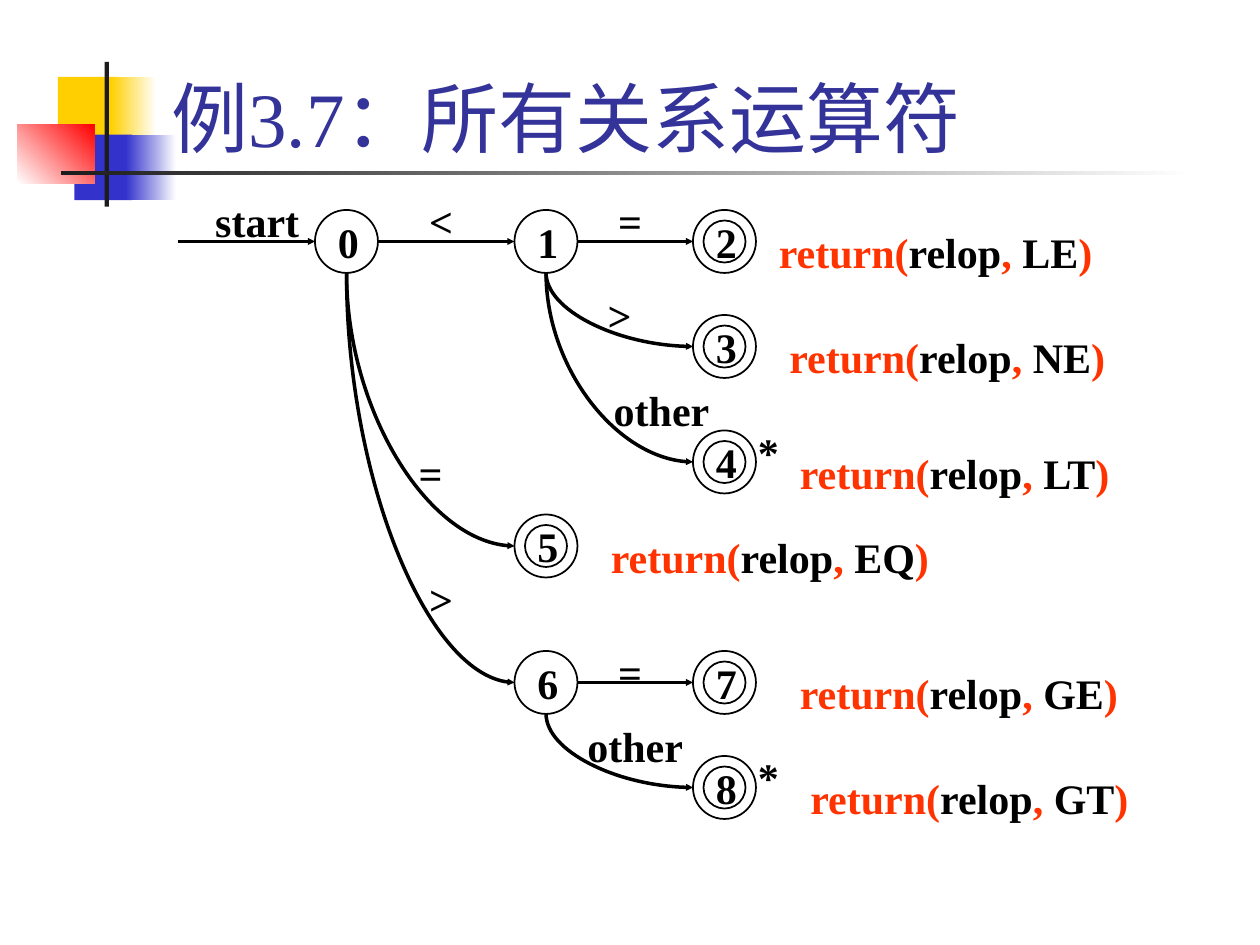
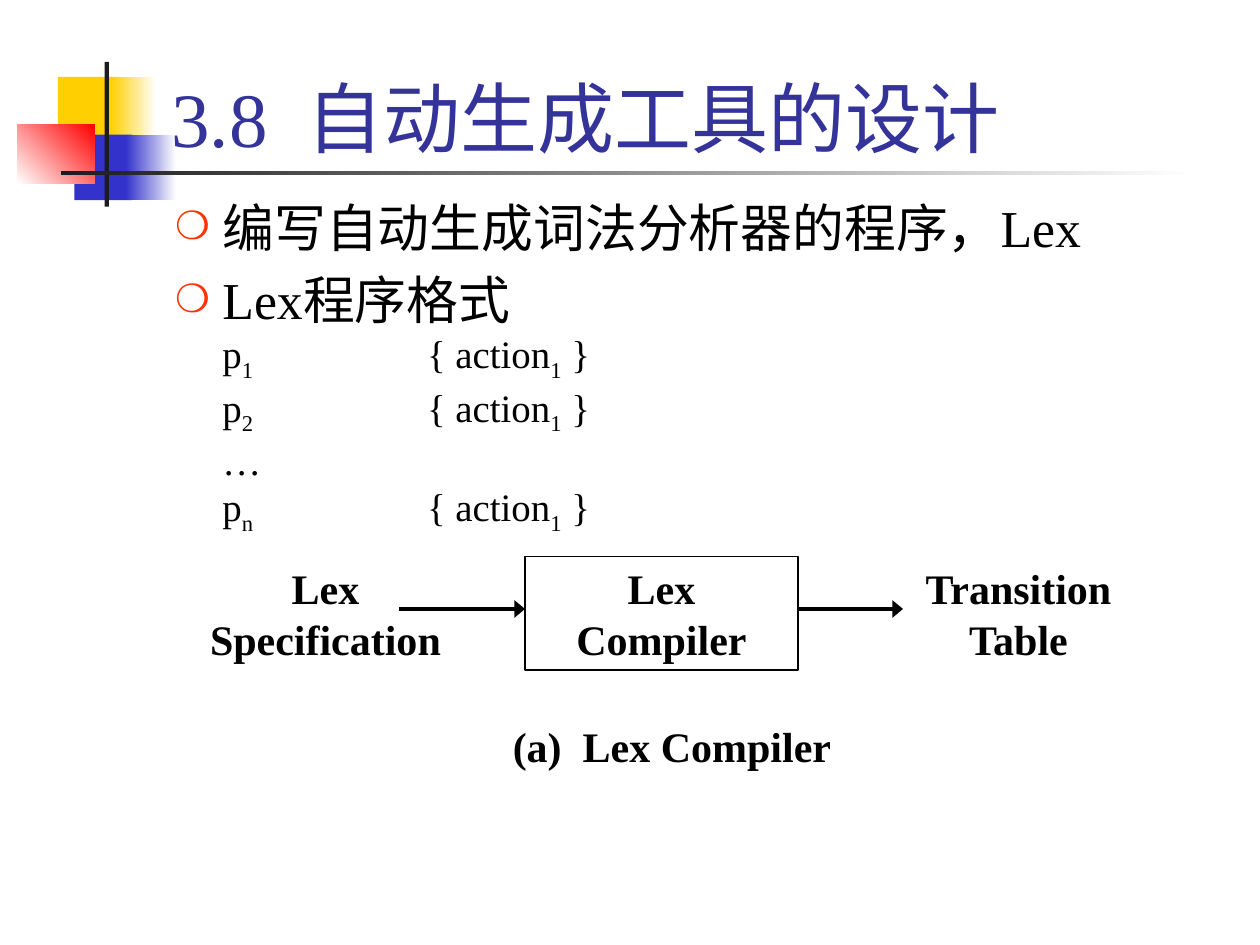
from dataclasses import dataclass
from lxml.etree import SubElement
from pptx import Presentation
from pptx.dml.color import RGBColor
from pptx.enum.shapes import MSO_CONNECTOR, MSO_SHAPE
from pptx.enum.text import MSO_ANCHOR, MSO_AUTO_SIZE, PP_ALIGN
from pptx.oxml.ns import qn
from pptx.util import Pt


@dataclass(frozen=True)
class Theme:
    font: str = "Times New Roman"
    ink: str = "000000"
    title: str = "333399"
    accent: str = "FF3300"
    yellow: str = "FFCF01"
    blue: str = "3333CC"
    red: str = "FF0000"
    bar: str = "1C1C1C"
    white: str = "FFFFFF"
    title_size: float = 44
    body_size: float = 29.6
    rule_size: float = 22.2
    label_size: float = 24
    outline: float = 1
    arrow: float = 2


T = Theme()

DECORATION = [
    ((33.1, 43.9, 34.6, 37.4), [T.yellow], 0),
    ((63.4, 43.9, 25.9, 37.4), [T.yellow, T.white], 0),
    ((42.5, 77, 33.1, 37.4), [T.blue], 0),
    ((72, 77, 28.8, 37.4), [T.blue, T.white], 0),
    ((10, 71.1, 44, 33.7), [T.white, T.red], 45),
    ((59.8, 35.3, 2.4, 82.8), [T.bar], 0),
    ((34.6, 97.7, 648, 2.4), [T.bar, T.white], 0),
]
TITLE_BOX = (90.7, 6.5, 613.4, 90)
BODY_BOX = (92.9, 108, 612, 216)

RELOP_TITLE = "例3.7：所有关系运算符"
STATES = {
    0: (180, 120), 1: (294, 120), 2: (396, 120), 3: (396, 180), 4: (396, 246),
    5: (294, 294), 6: (294, 372), 7: (396, 372), 8: (396, 432),
}
DIAMETER, RING_GAP, LABEL_H = 36, 6, 36
START_X = 102
EDGES = [(0, 1), (1, 2), (1, 3), (1, 4), (0, 5), (0, 6), (6, 7), (6, 8)]
RETURNS = {
    2: ("LE", 438), 3: ("NE", 444), 4: ("LT", 450),
    5: ("EQ", 342), 7: ("GE", 450), 8: ("GT", 456),
}
EDGE_LABELS = [
    ("start", 108, 108, 78), ("<", 222, 108, 60), ("=", 330, 108, 60),
    (">", 324, 162, 60), ("other", 336, 216, 84), ("=", 216, 252, 60),
    (">", 222, 324, 60), ("=", 330, 366, 60), ("other", 324, 408, 78),
    ("*", 426, 240, 24), ("*", 426, 426, 24),
]

LEX_TITLE = "3.8  自动生成工具的设计"
LEX_POINTS = ["编写自动生成词法分析器的程序，Lex", "Lex程序格式"]
LEX_RULES = ["1", "2", None, "n"]
LEX_FLOW_Y, LEX_FLOW_H = 318, 64.8
LEX_ENDS = [("Lex Specification", 102, 168), ("Transition Table", 498, 168)]
LEX_BOX = ("Lex Compiler", 300, 156)
LEX_ARROWS = [(228, 300), (456, 516)]
LEX_CAPTION = ("(a)  Lex Compiler", 276, 408, 216)


def pts(values):
    return [Pt(v) for v in values]


def set_all(obj, values):
    for name, value in values.items():
        setattr(obj, name, value)


def add_run(p, text, size, color=T.ink, bold=False):
    r = p.add_run()
    r.text = text
    set_all(r.font, {"name": T.font, "size": Pt(size), "bold": bold})
    r.font.color.rgb = RGBColor.from_string(color)
    return r


def write_label(s, runs, align=PP_ALIGN.CENTER):
    tf = s.text_frame
    set_all(tf, {"word_wrap": True, "vertical_anchor": MSO_ANCHOR.TOP})
    p = tf.paragraphs[0]
    p.alignment = align
    for text, color in runs:
        add_run(p, text, T.label_size, color, True)


def add_label(slide, text, x, y, w, h=LABEL_H):
    write_label(slide.shapes.add_textbox(*pts((x, y, w, h))), [(text, T.ink)])


def add_outline(slide, kind, box):
    s = slide.shapes.add_shape(kind, *pts(box))
    s.shadow.inherit = False
    s.fill.background()
    s.line.color.rgb = RGBColor.from_string(T.ink)
    s.line.width = Pt(T.outline)
    return s


def add_arrow(slide, start, end, head_w="sm", head_len="sm"):
    (x1, y1), (x2, y2) = start, end
    if y1 == y2:
        s = slide.shapes.add_connector(MSO_CONNECTOR.STRAIGHT, *pts((x1, y1, x2, y2)))
    else:
        dx, dy = x2 - x1, y2 - y1
        left, top = (x1 + x2 - dy) / 2, (y1 + y2 - dx) / 2
        s = slide.shapes.add_connector(
            MSO_CONNECTOR.CURVE, *pts((left, top, left + dy, top + dx)))
        xfrm = s.element.spPr.find(qn("a:xfrm"))
        xfrm.set("rot", "16200000")
        xfrm.set("flipH", "1")
        s.element.spPr.find(qn("a:prstGeom")).set("prst", "curvedConnector2")
    s.line.color.rgb = RGBColor.from_string(T.ink)
    s.line.width = Pt(T.arrow)
    ln = s.element.spPr.find(qn("a:ln"))
    SubElement(ln, qn("a:tailEnd"), type="triangle", w=head_w, len=head_len)
    SubElement(s.element.spPr, qn("a:effectLst"))


def decorate_master(prs, slide):
    tree = prs.slide_master.shapes.element
    for i, (box, colors, angle) in enumerate(DECORATION):
        s = slide.shapes.add_shape(MSO_SHAPE.RECTANGLE, *pts(box))
        s.shadow.inherit = False
        s.line.fill.background()
        if len(colors) == 1:
            s.fill.solid()
            s.fill.fore_color.rgb = RGBColor.from_string(colors[0])
        else:
            s.fill.gradient()
            s.fill.gradient_angle = angle
            for stop, color in zip(s.fill.gradient_stops, colors):
                stop.color.rgb = RGBColor.from_string(color)
        s.element.nvSpPr.cNvPr.set("id", str(20 + i))
        tree.insert(2 + i, s.element)


def place(s, box):
    set_all(s, dict(zip(("left", "top", "width", "height"), pts(box))))
    s.text_frame.auto_size = MSO_AUTO_SIZE.NONE


def add_slide(prs, layout, title):
    slide = prs.slides.add_slide(prs.slide_layouts[layout])
    s = slide.shapes.title
    place(s, TITLE_BOX)
    s.text_frame.vertical_anchor = MSO_ANCHOR.BOTTOM
    p = s.text_frame.paragraphs[0]
    p.alignment = PP_ALIGN.LEFT
    add_run(p, title, T.title_size, T.title)
    return slide


def add_state(slide, n):
    x, y = STATES[n]
    rings = [0, RING_GAP] if n in RETURNS else [0]
    for gap in rings:
        d = DIAMETER - 2 * gap
        add_outline(slide, MSO_SHAPE.OVAL, (x + gap, y + gap, d, d))
    add_label(slide, str(n), x + RING_GAP, y, DIAMETER - 2 * RING_GAP)


def build_relop(slide):
    r = DIAMETER / 2
    x, y = STATES[0]
    add_arrow(slide, (START_X, y + r), (x, y + r))
    for a, b in EDGES:
        (ax, ay), (bx, by) = STATES[a], STATES[b]
        start = (ax + DIAMETER, ay + r) if ay == by else (ax + r, ay + DIAMETER)
        add_arrow(slide, start, (bx, by + r))
    for n in STATES:
        add_state(slide, n)
    for label in EDGE_LABELS:
        add_label(slide, *label)
    for n, (token, x) in RETURNS.items():
        s = slide.shapes.add_textbox(*pts((x, STATES[n][1] + 6, 210, LABEL_H)))
        write_label(s, [("return(", T.accent), ("relop", T.ink), (", ", T.accent),
                        (token, T.ink), (")", T.accent)], PP_ALIGN.LEFT)


def format_bullet(p):
    pPr = p._p.get_or_add_pPr()
    pPr.set("marL", str(Pt(27)))
    pPr.set("indent", str(Pt(-27)))
    SubElement(SubElement(pPr, qn("a:buClr")), qn("a:srgbClr"), val=T.accent)
    SubElement(pPr, qn("a:buSzPct"), val="75000")
    SubElement(pPr, qn("a:buChar"), char="❍")
    tabs = SubElement(pPr, qn("a:tabLst"))
    for i in range(1, 9):
        SubElement(tabs, qn("a:tab"), pos=str(Pt(72 * i)), algn="l")


def add_rule(p, index):
    p.add_line_break()
    SubElement(p._p[-1], qn("a:rPr"), sz=str(round(T.rule_size * 100)))
    if index is None:
        add_run(p, "…", T.rule_size)
        return
    parts = [("p", False), (index + "\t\t", True), ("{ action", False),
             ("1", True), (" }", False)]
    for text, subscript in parts:
        r = add_run(p, text, T.rule_size)
        if subscript:
            r._r.get_or_add_rPr().set("baseline", "-25000")


def build_lex(slide):
    body = slide.placeholders[1]
    place(body, BODY_BOX)
    tf = body.text_frame
    for i, text in enumerate(LEX_POINTS):
        p = tf.paragraphs[0] if i == 0 else tf.add_paragraph()
        set_all(p, {"line_spacing": 1.0, "space_before": Pt(6)})
        format_bullet(p)
        add_run(p, text, T.body_size)
    for index in LEX_RULES:
        add_rule(p, index)

    for text, x, w in LEX_ENDS:
        add_label(slide, text, x, LEX_FLOW_Y, w, LEX_FLOW_H)
    text, x, w = LEX_BOX
    s = add_outline(slide, MSO_SHAPE.RECTANGLE, (x, LEX_FLOW_Y, w, LEX_FLOW_H))
    set_all(s.text_frame, {"margin_left": Pt(10), "margin_right": Pt(10)})
    write_label(s, [(text, T.ink)])
    y = LEX_FLOW_Y + 30
    for x1, x2 in LEX_ARROWS:
        add_arrow(slide, (x1, y), (x2, y), "lg", "med")
    add_label(slide, *LEX_CAPTION)


def main():
    prs = Presentation()
    prs.slide_width, prs.slide_height = Pt(720), Pt(540)
    relop = add_slide(prs, 5, RELOP_TITLE)
    decorate_master(prs, relop)
    build_relop(relop)
    build_lex(add_slide(prs, 1, LEX_TITLE))
    prs.save("out.pptx")


if __name__ == "__main__":
    main()
